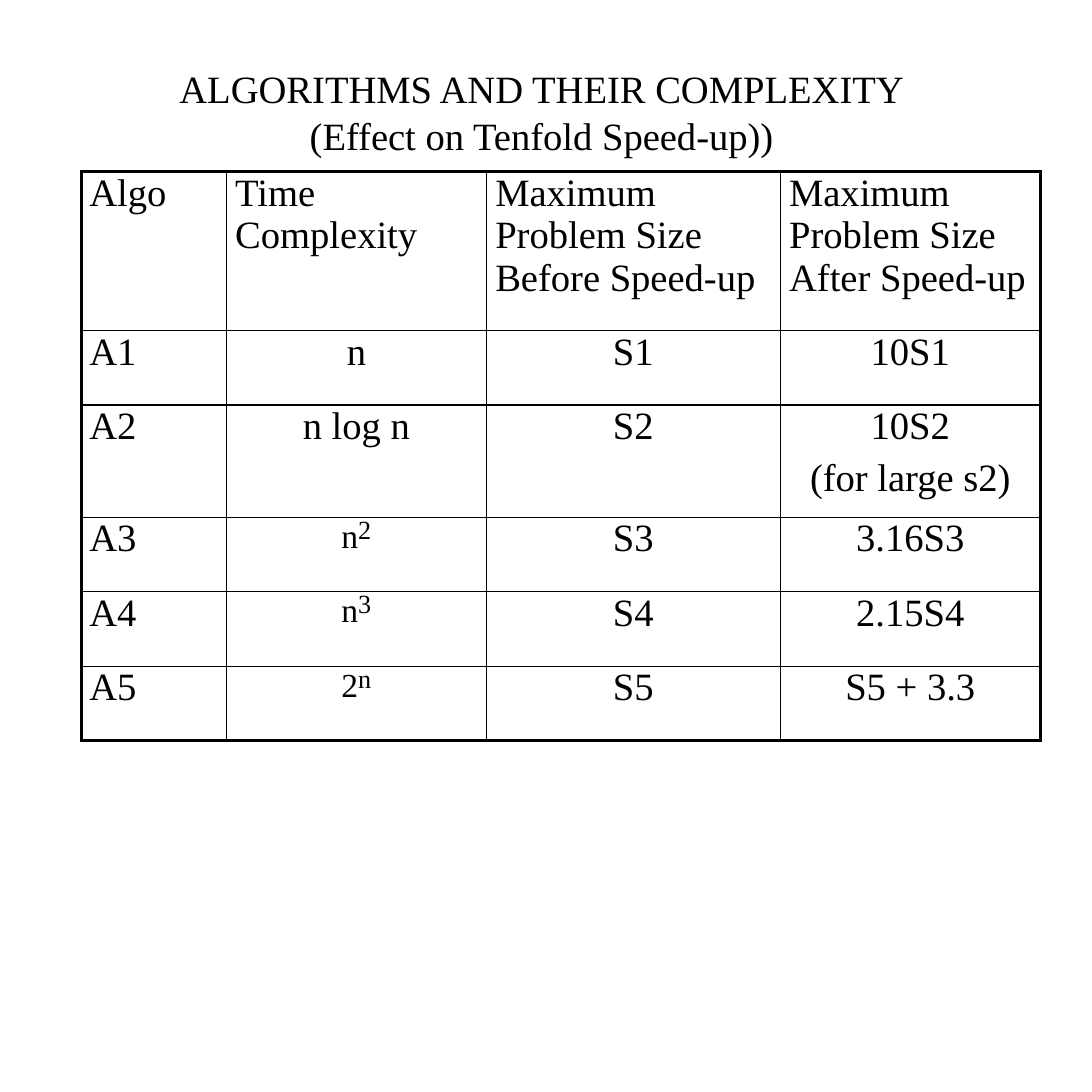
import pptx
import pptx.util
import pptx.dml.color
import pptx.enum.text
import lxml.etree

Inches, Pt = pptx.util.Inches, pptx.util.Pt
ALIGN = pptx.enum.text.PP_ALIGN
COLOR = {"ink": "000000"}
FONT = {"name": "Times New Roman", "size": Pt(28), "bold": False}
FLAT = {"margin_left": 0, "margin_top": 0, "margin_right": 0, "margin_bottom": 0,
        "vertical_anchor": pptx.enum.text.MSO_ANCHOR.TOP}
TITLE = ["ALGORITHMS AND THEIR COMPLEXITY", "(Effect on Tenfold Speed-up))"]
COLS = [1.46, 2.62, 2.96, 2.62]
ROWS = [1.6, 0.75, 1.13, 0.75, 0.75, 0.75]
CELLS = [
    ["Algo", "Time Complexity", "Maximum Problem Size Before Speed-up",
     "Maximum Problem Size After Speed-up"],
    ["A1", "n", "S1", "10S1"],
    ["A2", "n log n", "S2", "10S2\n(for large s2)"],
    ["A3", ("n", "2"), "S3", "3.16S3"],
    ["A4", ("n", "3"), "S4", "2.15S4"],
    ["A5", ("2", "n"), "S5", "S5 + 3.3"],
]


def assign(item, values):
    """Set each attribute of an item from a dict."""
    for key, value in values.items():
        setattr(item, key, value)


def add_run(par, text, **extra):
    """Add a run in the slide's font."""
    run = par.add_run()
    run.text = text
    assign(run.font, FONT | extra)
    run.font.color.rgb = pptx.dml.color.RGBColor.from_string(COLOR["ink"])
    return run


def fill_text(frame, lines, align, gap=None):
    """Write lines as paragraphs, with a gap before all but the first."""
    for i, line in enumerate(lines):
        par = frame.add_paragraph() if i else frame.paragraphs[0]
        par.alignment = align
        if i and gap:
            par.space_before = gap
        add_run(par, line)


def add_power(frame, base, power):
    """Write a lowered large base and its small exponent."""
    par = frame.paragraphs[0]
    assign(par, {"alignment": ALIGN.CENTER, "line_spacing": Pt(27.9)})
    run = add_run(par, base, size=Pt(42))
    run.font._element.set("baseline", "-16000")
    add_run(par, power, size=Pt(19))


def set_edges(cell, widths):
    """Draw the left, right, top and bottom borders of a cell."""
    props = cell._tc.get_or_add_tcPr()
    ns = "{%s}" % props.nsmap["a"]
    for i, (side, width) in enumerate(zip("LRTB", widths)):
        line = lxml.etree.Element(f"{ns}ln{side}", w=str(Pt(width)))
        fill = lxml.etree.SubElement(line, f"{ns}solidFill")
        lxml.etree.SubElement(fill, f"{ns}srgbClr", val=COLOR["ink"])
        props.insert(i, line)


def add_title(slide, left, top, width, height):
    """Place the two-line heading in the title placeholder."""
    title = slide.shapes.title
    assign(title, {"left": Inches(left), "top": Inches(top),
                   "width": Inches(width), "height": Inches(height)})
    frame = title.text_frame
    assign(frame, FLAT | {"word_wrap": True,
                          "auto_size": pptx.enum.text.MSO_AUTO_SIZE.NONE})
    fill_text(frame, TITLE, ALIGN.CENTER)
    for par in frame.paragraphs:
        par.line_spacing = Pt(34)


def add_grid(slide, left, top):
    """Place the table of algorithms with a heavy outer frame."""
    table = slide.shapes.add_table(
        len(ROWS), len(COLS), Inches(left), Inches(top),
        Inches(sum(COLS)), Inches(sum(ROWS))).table
    assign(table, {"first_row": False, "horz_banding": False})
    for col, width in zip(table.columns, COLS):
        col.width = Inches(width)
    for row, height in zip(table.rows, ROWS):
        row.height = Inches(height)
    for r, texts in enumerate(CELLS):
        for c, text in enumerate(texts):
            cell = table.cell(r, c)
            assign(cell, FLAT)
            cell.fill.background()
            ends = (c == 0, c == len(COLS) - 1, r == 0, r == len(ROWS) - 1)
            set_edges(cell, [2.25 if end else 1 for end in ends])
            if isinstance(text, tuple):
                add_power(cell.text_frame, *text)
                continue
            flush = r == 0 or c == 0
            if flush:
                cell.margin_left = Inches(0.09 if c else 0.08)
            fill_text(cell.text_frame, text.split("\n"),
                      ALIGN.LEFT if flush else ALIGN.CENTER, Pt(6.8))


def main():
    """Build and save the slide."""
    deck = pptx.Presentation()
    assign(deck, {"slide_width": Inches(11), "slide_height": Inches(11)})
    slide = deck.slides.add_slide(deck.slide_layouts.get_by_name("Title Only"))
    add_title(slide, 1.77, 0.65, 7.37, 0.95)
    add_grid(slide, 0.82, 1.73)
    deck.save("out.pptx")


if __name__ == "__main__":
    main()
